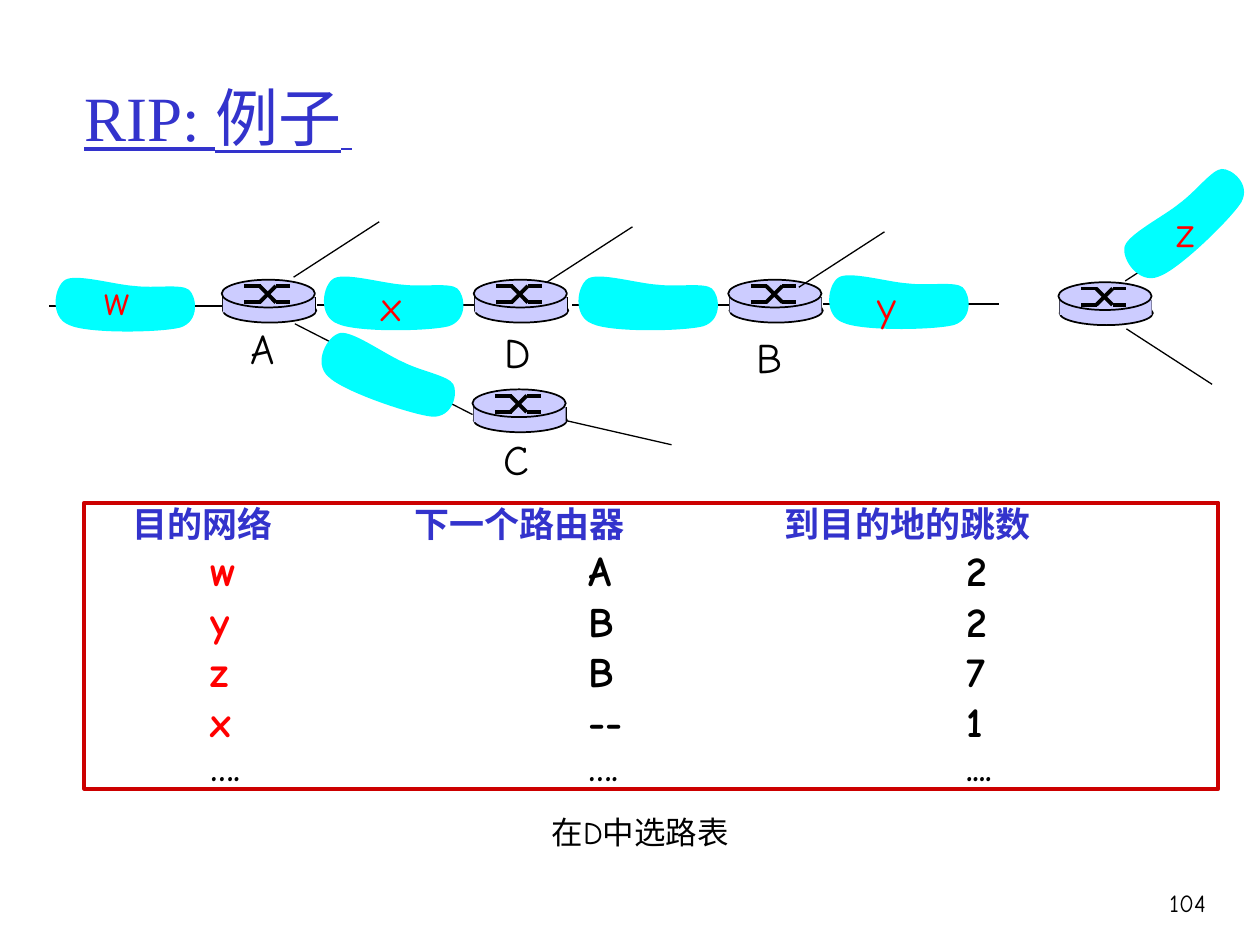
from lxml.etree import SubElement
from pptx import Presentation
from pptx.dml.color import RGBColor
from pptx.enum.shapes import MSO_CONNECTOR, MSO_SHAPE
from pptx.enum.text import MSO_ANCHOR, PP_ALIGN
from pptx.oxml.ns import qn
from pptx.util import Inches, Pt

COLORS = {"blue": "3333CC", "red": "FF0000", "frame": "CC0000", "black": "000000",
          "cloud": "00FFFF", "router": "CCCCFF"}
BODY, SERIF = "Comic Neue", "Times New Roman"

# Network: left and top of each router and cloud, cloud rotation last
ROUTERS = [(3.76, 2.22), (1.76, 2.22), (3.75, 3.09), (5.78, 2.22), (8.4, 2.24)]
CLOUDS = [(2.52, 2.16, 0), (2.48, 2.74, 19.7), (0.39, 2.17, 0),
          (4.54, 2.16, 0), (6.53, 2.15, 0), (8.8, 1.53, 316.8)]
FLAT_LINKS = [(2.52, 2.42), (4.54, 2.42), (0.39, 2.43), (6.53, 2.41)]
FLAT_LENGTH = 1.4
SLANTED_LINKS = [(2.33, 2.2, 3.01, 1.76), (4.34, 2.24, 5.02, 1.8),
                 (6.34, 2.28, 7.02, 1.84), (8.93, 2.23, 9.61, 1.79),
                 (8.94, 2.61, 9.62, 3.05), (2.34, 2.57, 3.75, 3.29),
                 (4.5, 3.34, 5.33, 3.53)]
LABELS = [("w", 0.73, 2.12, "red"), ("x", 2.93, 2.17, "red"),
          ("y", 6.87, 2.17, "red"), ("z", 9.24, 1.58, "red"),
          ("A", 1.89, 2.51, "black"), ("C", 3.9, 3.39, "black"),
          ("D", 3.91, 2.54, "black"), ("B", 5.91, 2.58, "black")]

# Parts of a router, measured from its top left corner
ROUTER_SIDES = [(0.01, 0.14, 0.01, 0.25), (0.74, 0.14, 0.74, 0.25)]
ROUTER_CROSS = [(0.18, 0.05, 0.31, 0.05), (0.43, 0.18, 0.54, 0.18),
                (0.3, 0.05, 0.43, 0.18), (0.18, 0.18, 0.31, 0.18),
                (0.43, 0.05, 0.54, 0.05), (0.3, 0.18, 0.43, 0.05)]

# Cloud outline: start point, then three points for each curve
CLOUD_CURVES = [(0.68, 0.1),
                (0.52, 0.09), (0.22, 0), (0.13, 0.05),
                (0.04, 0.1), (0, 0.35), (0.16, 0.41),
                (0.31, 0.48), (0.88, 0.47), (1.04, 0.43),
                (1.2, 0.38), (1.17, 0.18), (1.11, 0.13),
                (1.05, 0.08), (0.84, 0.12), (0.68, 0.1)]

# Routing table
HEADINGS = ["目的网络", "下一个路由器", "到目的地的跳数"]
ROUTES = [("w", "A", "2"), ("y", "B", "2"), ("z", "B", "7"), ("x", "--", "1")]
MORE = ["….", "….", "...."]
HEADING_STOPS, ROUTE_STOPS = [0.38, 2.62, 5.56], [1, 4, 7]


def color(name):
    return RGBColor.from_string(COLORS[name])


def add_line(shapes, x1, y1, x2, y2, width):
    line = shapes.add_connector(MSO_CONNECTOR.STRAIGHT, *map(Inches, (x1, y1, x2, y2)))
    line.line.color.rgb = color("black")
    line.line.width = Pt(width)
    SubElement(line._element.spPr, qn("a:effectLst"))


def paint(shape, fill=None, line=None, width=1):
    shape.shadow.inherit = False
    if fill:
        shape.fill.solid()
        shape.fill.fore_color.rgb = color(fill)
    else:
        shape.fill.background()
    if line:
        shape.line.color.rgb = color(line)
        shape.line.width = Pt(width)
    else:
        shape.line.fill.background()


def add_span(para, text, size, tint, font=BODY, **style):
    span = para.add_run()
    span.text = text
    span.font.size, span.font.name = Pt(size), font
    span.font.color.rgb = color(tint)
    for name, value in style.items():
        setattr(span.font, name, value)


def add_box(page, left, top, width, height, wrap=True):
    box = page.shapes.add_textbox(*map(Inches, (left, top, width, height)))
    box.text_frame.word_wrap = wrap
    return box.text_frame


def add_router(page, left, top):
    parts = page.shapes.add_group_shape().shapes

    def add_part(kind, x, y, width, height, line=None):
        part = parts.add_shape(kind, *map(Inches, (left + x, top + y, width, height)))
        paint(part, "router", line)

    def add_strokes(strokes, width):
        for x1, y1, x2, y2 in strokes:
            add_line(parts, left + x1, top + y1, left + x2, top + y2, width)

    add_part(MSO_SHAPE.OVAL, 0.01, 0.15, 0.74, 0.19, "black")
    add_strokes(ROUTER_SIDES, 1)
    add_part(MSO_SHAPE.RECTANGLE, 0.01, 0.14, 0.73, 0.12)
    add_part(MSO_SHAPE.OVAL, 0, 0, 0.74, 0.22, "black")
    add_strokes(ROUTER_CROSS, 2.25)


def add_cloud(page, left, top, rotation):
    points = [(Inches(left + x), Inches(top + y)) for x, y in CLOUD_CURVES]
    builder = page.shapes.build_freeform(*points[0])
    builder.add_line_segments(points[1:], close=True)
    cloud = builder.convert_to_shape()
    paint(cloud, "cloud")
    cloud.rotation = rotation
    # Turn every three straight segments into one Bézier curve
    segments = list(cloud._element.iter(qn("a:lnTo")))
    for first in range(0, len(segments), 3):
        curve = segments[first]
        for other in segments[first + 1:first + 3]:
            curve.append(other[0])
            other.getparent().remove(other)
        curve.tag = qn("a:cubicBezTo")


def add_row(para, cells, stops, size, tints):
    para.alignment = PP_ALIGN.LEFT
    tabs = SubElement(para._p.get_or_add_pPr(), qn("a:tabLst"))
    for stop in stops:
        SubElement(tabs, qn("a:tab"), pos=str(Inches(stop)), algn="l")
    for cell, tint in zip(cells, tints):
        add_span(para, "\t" + cell, size, tint, bold=True)


def add_routes(page):
    box = page.shapes.add_shape(MSO_SHAPE.RECTANGLE, *map(Inches, (0.67, 3.99, 9, 2.27)))
    paint(box, line="frame", width=2.25)
    frame = box.text_frame
    frame.word_wrap = True
    frame.vertical_anchor = MSO_ANCHOR.TOP
    frame.margin_left = frame.margin_right = frame.margin_top = frame.margin_bottom = 0
    add_row(frame.paragraphs[0], HEADINGS, HEADING_STOPS, 20, ["blue"] * 3)
    for route in ROUTES:
        add_row(frame.add_paragraph(), route, ROUTE_STOPS, 24, ["red", "black", "black"])
    add_row(frame.add_paragraph(), MORE, ROUTE_STOPS, 20, ["black"] * 3)


def main():
    deck = Presentation()
    deck.slide_width, deck.slide_height = Inches(10), Inches(7.5)
    page = deck.slides.add_slide(deck.slide_layouts[6])

    # Title
    title = add_box(page, 0.57, 0.3, 8.5, 1.25)
    title.vertical_anchor = MSO_ANCHOR.MIDDLE
    for text, size in [("RIP: 例子", 36), (" ", 28)]:
        add_span(title.paragraphs[0], text, size, "blue", SERIF, underline=True)

    # Network
    for x, y in FLAT_LINKS:
        add_line(page.shapes, x, y, x + FLAT_LENGTH, y, 1)
    for router in ROUTERS:
        add_router(page, *router)
    for link in SLANTED_LINKS:
        add_line(page.shapes, *link, 0.75)
    for cloud in CLOUDS:
        add_cloud(page, *cloud)
    for text, left, top, tint in LABELS:
        label = add_box(page, left, top, 0.4, 0.5, wrap=False)
        add_span(label.paragraphs[0], text, 24, tint)

    # Routing table, caption and page number
    add_routes(page)
    caption = add_box(page, 4.28, 6.4, 1.72, 0.4, wrap=False)
    add_span(caption.paragraphs[0], "在D中选路表", 18, "black")
    number = add_box(page, 8.93, 7, 0.74, 0.5).paragraphs[0]
    number.alignment = PP_ALIGN.RIGHT
    add_span(number, "104", 14, "black")

    deck.save("out.pptx")


if __name__ == "__main__":
    main()
